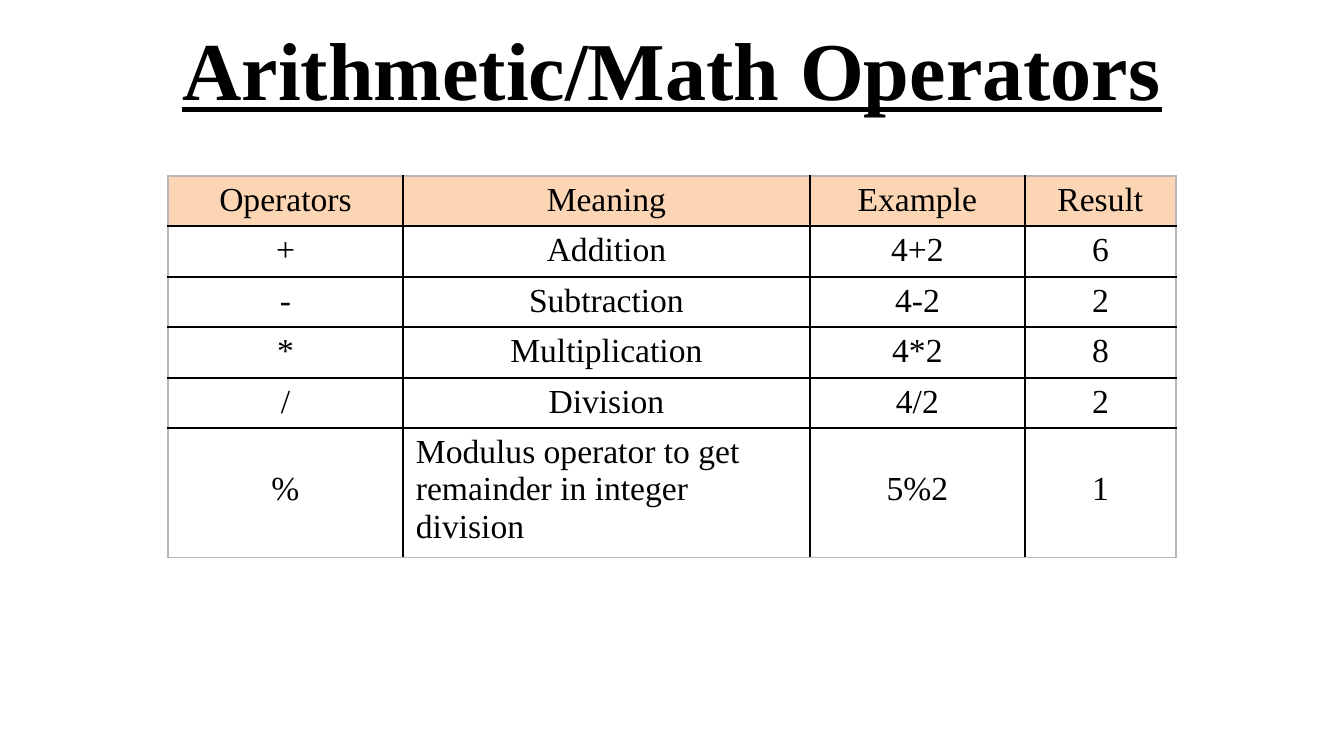
from lxml.etree import SubElement
from pptx import Presentation
from pptx.dml.color import RGBColor
from pptx.enum.text import MSO_ANCHOR, MSO_AUTO_SIZE, PP_ALIGN
from pptx.oxml.ns import qn
from pptx.util import Emu, Pt

BLACK = RGBColor(0x00, 0x00, 0x00)
GREY = RGBColor(0xB8, 0xB8, 0xB8)
PEACH = RGBColor(0xFC, 0xD5, 0xB5)

PX_PER_INCH = 134.4
FONT = "Times New Roman"

COLUMN_WIDTHS = (235, 407, 215, 151)
ROW_HEIGHTS = (50, 51, 50, 51, 50, 130)
LINE_HEIGHT = 37
ROWS = (
    ("Operators", "Meaning", "Example", "Result"),
    ("+", "Addition", "4+2", "6"),
    ("-", "Subtraction", "4-2", "2"),
    ("*", "Multiplication", "4*2", "8"),
    ("/", "Division", "4/2", "2"),
    ("%", "Modulus operator to get remainder in integer division", "5%2", "1"),
)


def px(length):
    return Emu(round(length * 914400 / PX_PER_INCH))


def write_text(text_frame, text, size=18, bold=False, underline=False,
               align=PP_ALIGN.CENTER, color=BLACK):
    paragraph = text_frame.paragraphs[0]
    paragraph.alignment = align
    run = paragraph.add_run()
    run.text = text
    font = run.font
    font.name, font.size = FONT, Pt(size)
    font.bold, font.underline = bold, underline
    font.color.rgb = color


def set_borders(cell, colors):
    """Draw the left, right, top and bottom borders, in that order."""
    properties = cell._tc.get_or_add_tcPr()
    for index, (side, color) in enumerate(zip("LRTB", colors)):
        line = SubElement(properties, qn(f"a:ln{side}"), w=str(Pt(1)))
        fill = SubElement(line, qn("a:solidFill"))
        SubElement(fill, qn("a:srgbClr"), val=str(color))
        properties.insert(index, line)


class SlideBuilder:
    def __init__(self, presentation):
        self.slide = presentation.slides.add_slide(presentation.slide_layouts[5])

    def title(self, text, left, top, width, height):
        shape = self.slide.shapes.title
        shape.left, shape.top = px(left), px(top)
        shape.width, shape.height = px(width), px(height)
        text_frame = shape.text_frame
        text_frame.word_wrap = True
        text_frame.auto_size = MSO_AUTO_SIZE.NONE
        text_frame.vertical_anchor = MSO_ANCHOR.MIDDLE
        write_text(text_frame, text, size=44, bold=True, underline=True)

    def table(self, rows, left, top, widths, heights):
        frame = self.slide.shapes.add_table(
            len(rows), len(widths), px(left), px(top),
            px(sum(widths)), px(sum(heights)))
        table = frame.table
        table.first_row = table.horz_banding = False
        for column, width in zip(table.columns, widths):
            column.width = px(width)
        for row, height in zip(table.rows, heights):
            row.height = px(height)
        for row_index, row in enumerate(rows):
            for column_index, text in enumerate(row):
                self.cell(table, row_index, column_index, text)

    def cell(self, table, row_index, column_index, text):
        cell = table.cell(row_index, column_index)
        last_row = row_index == len(table.rows) - 1
        last_column = column_index == len(table.columns) - 1
        is_long = last_row and column_index == 1
        # Short entries beside the long one sit level with its second line
        offset = LINE_HEIGHT if last_row and not is_long else 0
        cell.margin_left = cell.margin_right = px(13)
        cell.margin_top, cell.margin_bottom = px(6 + offset), px(5)
        cell.vertical_anchor = MSO_ANCHOR.TOP
        if row_index == 0:
            cell.fill.solid()
            cell.fill.fore_color.rgb = PEACH
        else:
            cell.fill.background()
        # Grey frame around the table, black lines inside
        outer = (column_index == 0, last_column, row_index == 0, last_row)
        set_borders(cell, [GREY if edge else BLACK for edge in outer])
        write_text(cell.text_frame, text,
                   align=PP_ALIGN.LEFT if is_long else PP_ALIGN.CENTER)


def main():
    presentation = Presentation()
    presentation.slide_width, presentation.slide_height = px(1344), px(756)
    builder = SlideBuilder(presentation)

    # Heading
    builder.title("Arithmetic/Math Operators", 67, 5, 1210, 126)

    # Operator table
    builder.table(ROWS, 168, 176, COLUMN_WIDTHS, ROW_HEIGHTS)

    presentation.save("out.pptx")


if __name__ == "__main__":
    main()
